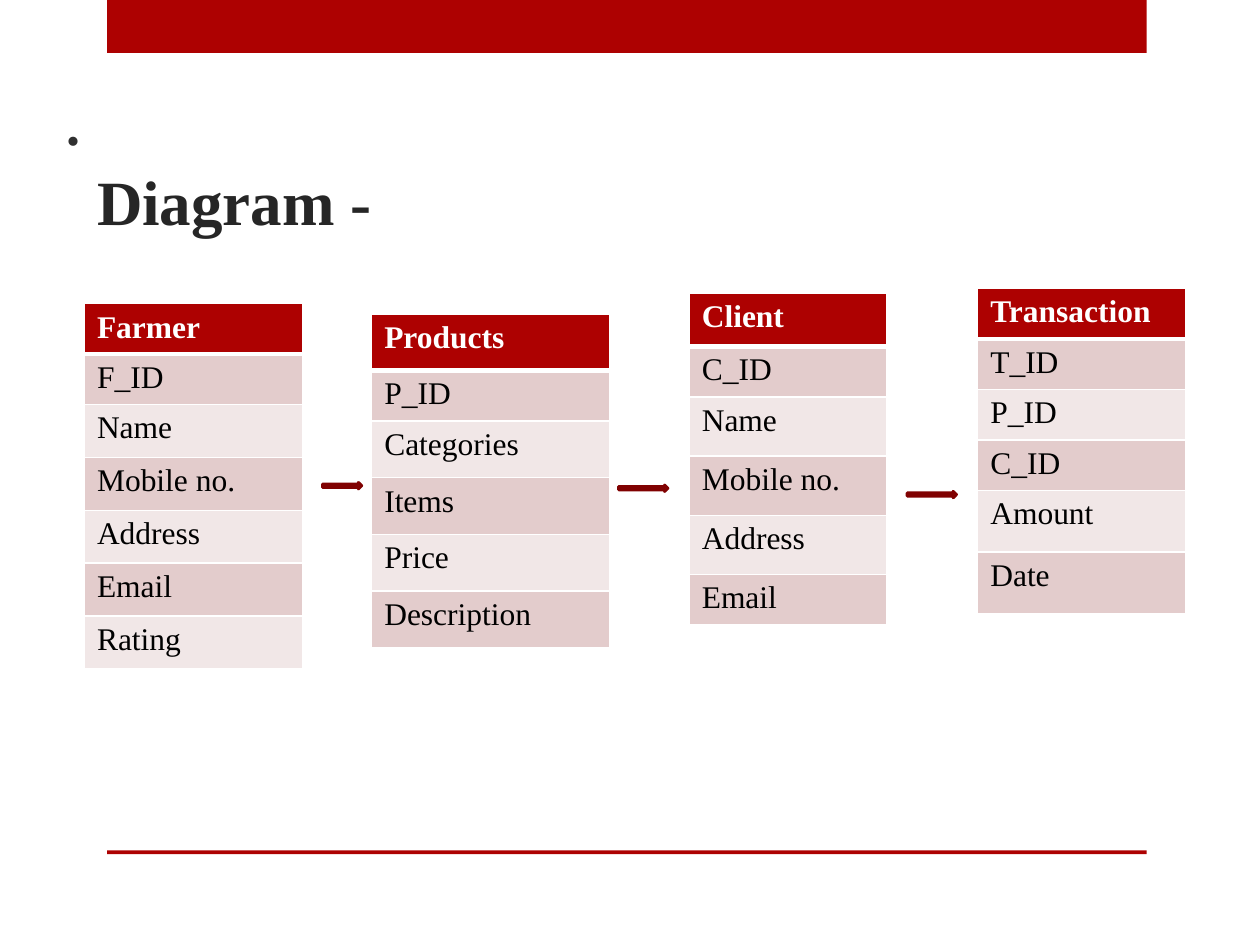
from lxml import etree
from pptx import Presentation
from pptx.dml.color import RGBColor
from pptx.enum.shapes import MSO_SHAPE
from pptx.enum.text import MSO_ANCHOR
from pptx.oxml.ns import qn
from pptx.util import Inches, Pt

RECT, ARROW = MSO_SHAPE.RECTANGLE, MSO_SHAPE.RIGHT_ARROW
TOP = MSO_ANCHOR.TOP
TITLE_ONLY = 5
FONT = "Times New Roman"
C = {"red": "AD0101", "dark_red": "800101", "white": "FFFFFF",
     "black": "000000", "title": "262626", "dot": "303030",
     "band": "E3CCCC", "light": "F1E7E7"}
MIN_ROW = 0.37

ENTITIES = [
    ((0.67, 2.41, 1.73),
     ["Farmer", "F_ID", "Name", "Mobile no.", "Address", "Email", "Rating"],
     [MIN_ROW] * 2 + [0.42] * 5),
    ((2.95, 2.49, 1.89),
     ["Products", "P_ID", "Categories", "Items", "Price", "Description"],
     [0.45, MIN_ROW] + [0.45] * 4),
    ((5.47, 2.33, 1.57),
     ["Client", "C_ID", "Name", "Mobile no.", "Address", "Email"],
     [0.42, 0.4] + [0.47] * 3 + [MIN_ROW]),
    ((7.76, 2.29, 1.65),
     ["Transaction", "T_ID", "P_ID", "C_ID", "Amount", "Date"],
     [0.38] * 4 + [0.49] * 2),
]
ARROWS = [(2.56, 3.83, 0.31, 0.05), (4.91, 3.85, 0.39, 0.05),
          (7.2, 3.9, 0.39, 0.05)]


def rgb(name):
    return RGBColor.from_string(C[name])


def write(tf, text, size=18, color="black", bold=False):
    p = tf.paragraphs[0]
    r = p.add_run()
    r.text = text
    r.font.name, r.font.size, r.font.bold = FONT, Pt(size), bold
    r.font.color.rgb = rgb(color)
    return p


def add_block(s, kind, box, fill, line=None, width=1):
    sp = s.shapes.add_shape(kind, *map(Inches, box))
    sp.shadow.inherit = False
    sp.fill.solid()
    sp.fill.fore_color.rgb = rgb(fill)
    if line:
        sp.line.color.rgb = rgb(line)
        sp.line.width = Pt(width)
    else:
        sp.line.fill.background()


def set_borders(cell, top, bottom):
    tcPr = cell._tc.get_or_add_tcPr()
    sides = [("a:lnL", 1), ("a:lnR", 1), ("a:lnT", top), ("a:lnB", bottom)]
    for i, (tag, width) in enumerate(sides):
        ln = etree.Element(qn(tag), w=str(Pt(width)))
        fill = etree.SubElement(ln, qn("a:solidFill"))
        etree.SubElement(fill, qn("a:srgbClr"), val=C["white"])
        tcPr.insert(i, ln)


def add_entity(s, box, names, heights):
    left, top, width = box
    table = s.shapes.add_table(
        len(names), 1, Inches(left), Inches(top), Inches(width),
        Inches(sum(heights))).table
    for i, (name, height) in enumerate(zip(names, heights)):
        table.rows[i].height = Inches(height)
        cell = table.cell(i, 0)
        header = i == 0
        cell.fill.solid()
        cell.fill.fore_color.rgb = rgb(
            "red" if header else "band" if i % 2 else "light")
        set_borders(cell, 3 if i == 1 else 1, 3 if header else 1)
        write(cell.text_frame, name, bold=header,
              color="white" if header else "black")


def add_heading(s, title_box, dot_box):
    title = s.shapes.title
    dot = s.shapes.add_textbox(0, 0, 0, 0)
    parts = [(title, title_box, 0.45, "Diagram -", 36, "title"),
             (dot, dot_box, 0.11, ".", 32, "dot")]
    for sp, box, inset, text, size, color in parts:
        sp.left, sp.top, sp.width, sp.height = map(Inches, box)
        tf = sp.text_frame
        tf.word_wrap = True
        tf.vertical_anchor = TOP
        tf.margin_top = Inches(inset)
        p = write(tf, text, size=size, color=color, bold=True)
        p.alignment = 1
        p.space_before = Pt(0)


def add_frame(s, left, width):
    add_block(s, RECT, (left, 0, width, 0.42), "red")
    add_block(s, RECT, (left, 6.75, width, 0.03), "red")


prs = Presentation()
prs.slide_width, prs.slide_height = Inches(10), Inches(7.5)
s = prs.slides.add_slide(prs.slide_layouts[TITLE_ONLY])
add_frame(s, 0.85, 8.25)
add_heading(s, (0.67, 0.84, 7.42, 4.73), (0.43, 0.6, 8.25, 1.19))
for entity in ENTITIES:
    add_entity(s, *entity)
for box in ARROWS:
    add_block(s, ARROW, box, "red", line="dark_red", width=1.75)
prs.save("out.pptx")
